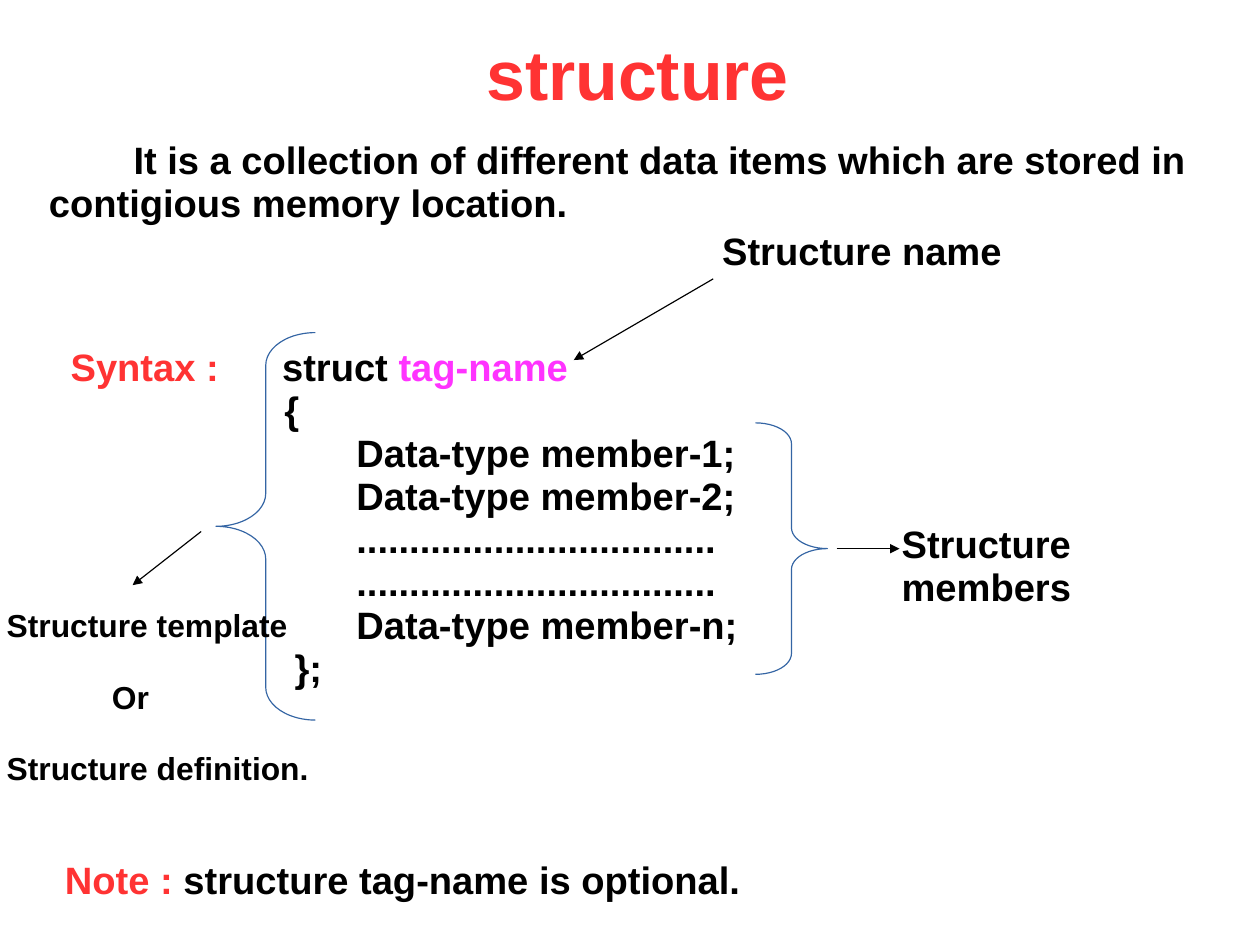
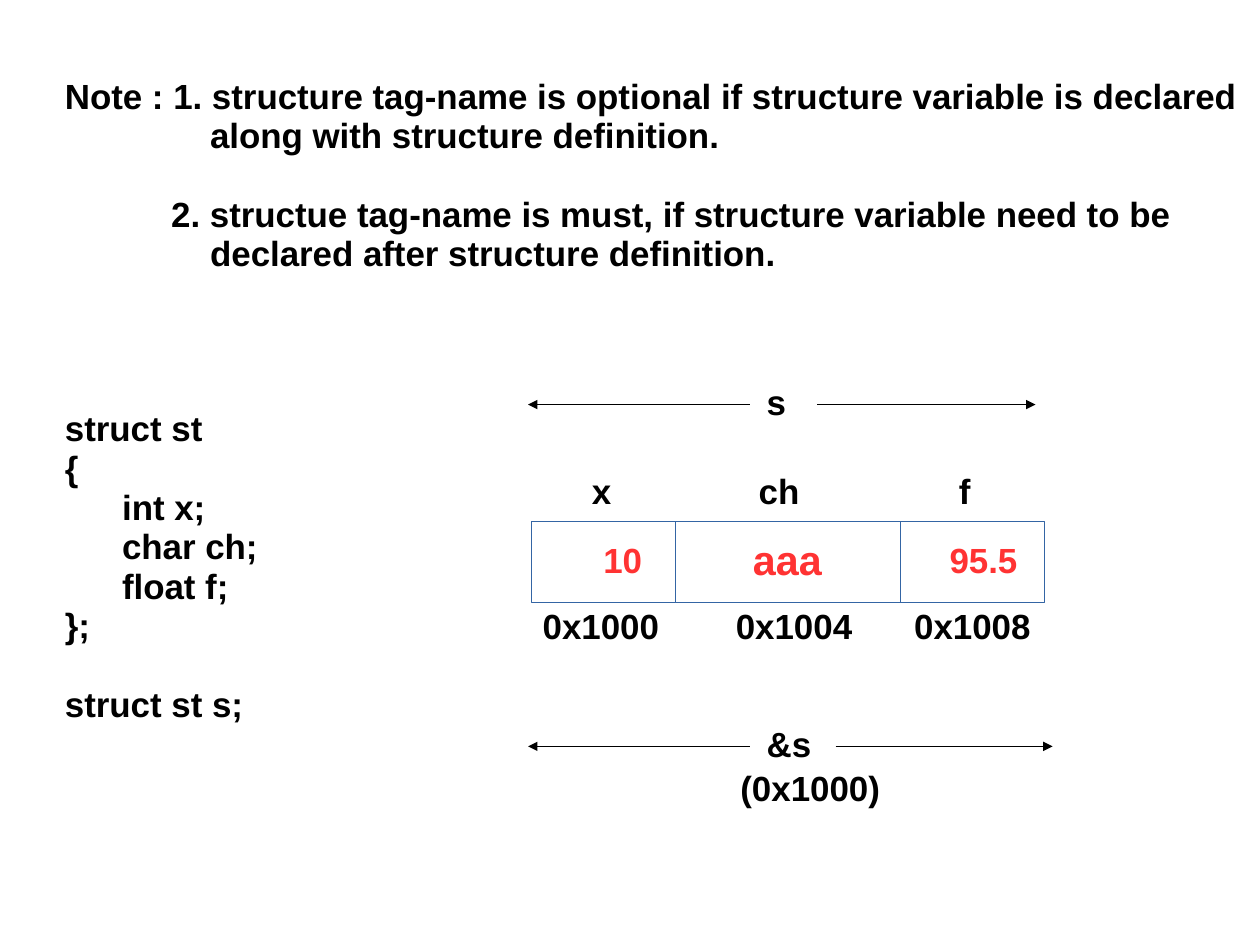
from dataclasses import dataclass

from lxml.etree import SubElement
from pptx import Presentation
from pptx.dml.color import RGBColor
from pptx.enum.shapes import MSO_CONNECTOR as Connector, MSO_SHAPE as Preset
from pptx.enum.text import MSO_ANCHOR as Anchor, MSO_AUTO_SIZE as AutoSize, PP_ALIGN as Align
from pptx.oxml.ns import qn
from pptx.util import Inches, Pt

COLORS = {"red": "FF3333", "black": "000000", "pink": "FF33FF", "blue": "3465A4", "white": "FFFFFF"}
FONT_FORMAT = {"name": "Arial", "bold": True}
FRAME_FORMAT = {
    "word_wrap": True, "auto_size": AutoSize.NONE,
    "margin_left": Inches(0.1), "margin_right": Inches(0.1),
    "margin_top": Inches(0.05), "margin_bottom": Inches(0.05),
}
CM_PER_INCH = 2.54
LINE_SPACING = 0.94
LINE_WIDTH = Pt(0.74)
CODE_SIZE, BODY_SIZE, TITLE_SIZE = 22, 24, 44


@dataclass
class Line:
    """One paragraph: (text, colour) runs, indents in inches and space above in points."""
    runs: list
    left: float = 0
    first: float = 0
    before: float = 0


@dataclass
class Field:
    """One structure member in memory; lefts and width are in inches."""
    name: str
    name_left: float
    value: str
    value_size: int
    value_indent: float
    address: str
    address_left: float
    width: float


def plain(text, color="black", **layout):
    """Return a line with a single run."""
    return Line([(text, color)], **layout)


def rgb(name):
    """Look up a palette colour."""
    return RGBColor.from_string(COLORS[name])


def apply_format(target, values):
    """Set attributes from a dict of format values."""
    for name, value in values.items():
        setattr(target, name, value)


def write(frame, lines, size, anchor=Anchor.TOP, align=Align.LEFT):
    """Fill a text frame with formatted lines."""
    apply_format(frame, {**FRAME_FORMAT, "vertical_anchor": anchor})
    for index, line in enumerate(lines):
        paragraph = frame.add_paragraph() if index else frame.paragraphs[0]
        apply_format(paragraph, {"alignment": align, "line_spacing": LINE_SPACING,
                                 "space_before": Pt(line.before), "space_after": Pt(0)})
        properties = paragraph._p.get_or_add_pPr()
        properties.set("marL", str(Inches(line.left)))
        properties.set("indent", str(Inches(line.first)))
        for text, color in line.runs:
            run = paragraph.add_run()
            run.text = text
            apply_format(run.font, {**FONT_FORMAT, "size": Pt(size)})
            run.font.color.rgb = rgb(color)


def add_text(slide, box, lines, size):
    """Add a text box; box is left, top, width, height in inches."""
    shape = slide.shapes.add_textbox(*map(Inches, box))
    write(shape.text_frame, lines, size)


def add_title(slide, box, text):
    """Place and format the title placeholder."""
    title = slide.shapes.title
    apply_format(title, dict(zip(("left", "top", "width", "height"), map(Inches, box))))
    write(title.text_frame, [plain(text, "red")], TITLE_SIZE, align=Align.CENTER)
    title.text_frame.margin_top = Inches(0.09)


def add_outlined(slide, preset, box):
    """Add a preset shape with the thin blue outline and no fill."""
    shape = slide.shapes.add_shape(preset, *map(Inches, box))
    shape.shadow.inherit = False
    shape.fill.background()
    shape.line.color.rgb = rgb("blue")
    shape.line.width = LINE_WIDTH
    return shape


def add_brace(slide, preset, box, curve):
    """Add a curly brace whose curves are the given part of its width."""
    brace = add_outlined(slide, preset, box)
    brace.adjustments[0] = curve
    brace.adjustments[1] = 0.5


def add_arrow(slide, start, end):
    """Draw a thin black arrow from start to end."""
    arrow = slide.shapes.add_connector(Connector.STRAIGHT, *map(Inches, (*start, *end)))
    arrow.line.color.rgb = rgb("black")
    arrow.line.width = LINE_WIDTH
    properties = arrow.element.find(qn("p:spPr"))
    SubElement(properties.find(qn("a:ln")), qn("a:tailEnd"), type="triangle")
    SubElement(properties, qn("a:effectLst"))


def add_memory(slide, left, top, fields):
    """Draw the members as adjoining cells with names above and addresses below."""
    height = 0.71
    for field in fields:
        add_text(slide, (field.name_left, top - 0.47, 1, 0.47), [plain(field.name)], CODE_SIZE)
        cell = add_outlined(slide, Preset.RECTANGLE, (left, top, field.width, height))
        cell.fill.solid()
        cell.fill.fore_color.rgb = rgb("white")
        value = plain(field.value, "red", left=field.value_indent)
        write(cell.text_frame, [value], field.value_size, Anchor.MIDDLE)
        add_text(slide, (field.address_left, top + height, 1.3, 0.47),
                 [plain(field.address)], CODE_SIZE)
        left += field.width


def build_syntax_slide(presentation):
    """Explain the syntax of a structure."""
    slide = presentation.slides.add_slide(presentation.slide_layouts[5])
    add_title(slide, (4.08, 0.24, 3, 0.78), "structure")
    add_text(slide, (0.33, 1.18, 10.25, 0.87), [
        plain("It is a collection of different data items which are stored in "
              "contigious memory location.", first=0.74)], BODY_SIZE)

    dots = "." * 34
    members = ["Data-type member-1;", "Data-type member-2;", dots, dots, "Data-type member-n;"]
    add_text(slide, (0.52, 2.99, 6.1, 3.13), [
        Line([("Syntax :", "red"), ("\tstruct ", "black"), ("tag-name", "pink")],
             left=1.85, first=-1.85),
        plain("{", left=1.87),
        *(plain(member, left=2.5) for member in members),
        plain("};", left=1.96)], BODY_SIZE)

    add_text(slide, (6.22, 1.97, 2.8, 0.5), [plain("Structure name")], BODY_SIZE)
    add_arrow(slide, (6.24, 2.44), (5.02, 3.15))
    add_brace(slide, Preset.RIGHT_BRACE, (6.61, 3.7, 0.63, 2.2), 0.29)
    add_arrow(slide, (7.32, 4.8), (7.87, 4.8))
    add_text(slide, (7.79, 4.54, 3.23, 0.5), [plain("Structure members")], BODY_SIZE)

    add_brace(slide, Preset.LEFT_BRACE, (1.89, 2.91, 0.87, 3.39), 0.33)
    add_arrow(slide, (1.76, 4.65), (1.16, 5.12))
    add_text(slide, (-0.04, 5.28, 3.19, 1.69), [
        plain("Structure template"),
        plain("Or", left=0.92, before=22.5),
        plain("Structure definition.", before=22.5)], 20)
    add_text(slide, (0.47, 7.48, 6.3, 0.5), [
        Line([("Note : ", "red"), ("structure tag-name is optional.", "black")])], BODY_SIZE)


def build_memory_slide(presentation):
    """Show how a structure variable lies in memory."""
    slide = presentation.slides.add_slide(presentation.slide_layouts[6])
    add_text(slide, (0.47, 0.63, 10.53, 1.84), [
        plain("Note : 1. structure tag-name is optional if structure variable is declared "
              "along with structure definition.", left=1.27, first=-1.27),
        plain("2. structue tag-name is must, if structure variable need to be "
              "declared after structure definition.", left=1.27, first=-0.34, before=24.7)],
        CODE_SIZE)

    members = ["int x;", "char ch;", "float f;"]
    add_text(slide, (0.47, 3.54, 2.2, 2.88), [
        plain("struct st"), plain("{"),
        *(plain(member, left=0.5) for member in members),
        plain("};"), plain("struct st s;", before=24.7)], CODE_SIZE)

    add_memory(slide, 4.65, 4.56, [
        Field("x", 5.08, "10", 22, 0.53, "0x1000", 4.65, 1.26),
        Field("ch", 6.54, "aaa", 26, 0.58, "0x1004", 6.34, 1.97),
        Field("f", 8.29, "95.5", 22, 0.33, "0x1008", 7.9, 1.26)])

    spans = [("s", 3.54, 7.15, 9.06), ("&s", 6.53, 7.31, 9.21)]
    for label, middle, right_start, right_end in spans:
        add_text(slide, (6.61, middle - 0.23, 0.7, 0.47), [plain(label)], CODE_SIZE)
        add_arrow(slide, (6.56, middle), (4.62, middle))
        add_arrow(slide, (right_start, middle), (right_end, middle))
    add_text(slide, (6.38, 6.69, 1.6, 0.47), [plain("(0x1000)")], CODE_SIZE)


def main():
    """Build and save the presentation."""
    presentation = Presentation()
    presentation.slide_width = Inches(28 / CM_PER_INCH)
    presentation.slide_height = Inches(21 / CM_PER_INCH)
    build_syntax_slide(presentation)
    build_memory_slide(presentation)
    presentation.save("out.pptx")


main()
